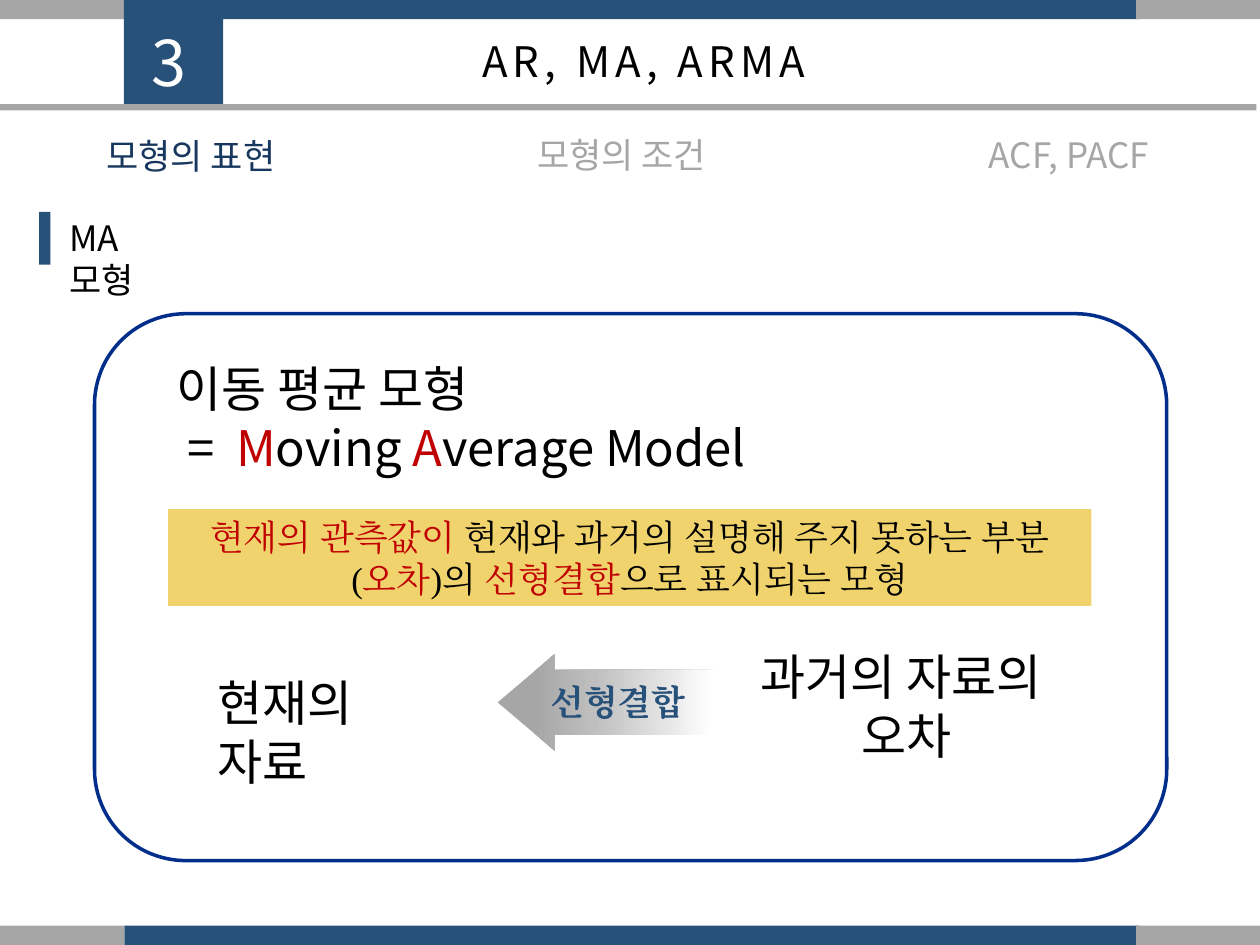
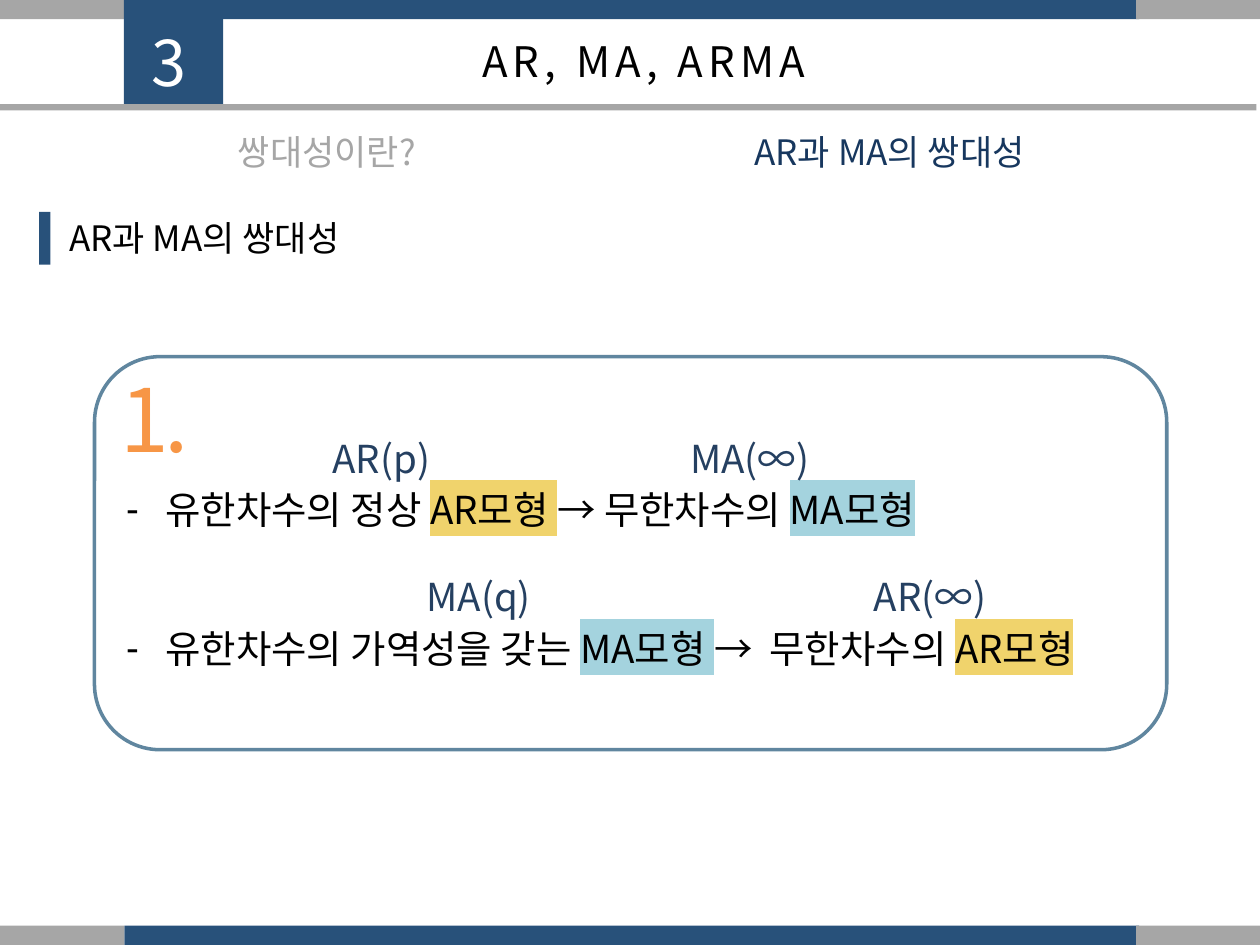
"""Build two slides on AR, MA and ARMA models."""
from lxml.etree import SubElement
from pptx import Presentation
from pptx.dml.color import RGBColor as Rgb
from pptx.enum.shapes import MSO_SHAPE as Kind
from pptx.enum.text import MSO_ANCHOR as Anchor, MSO_AUTO_SIZE as Fit, PP_ALIGN as Align
from pptx.oxml import parse_xml
from pptx.oxml.ns import nsdecls, qn
from pptx.util import Pt

BLUE = Rgb(0x28, 0x51, 0x7A)
GRAY = Rgb(0xA6, 0xA6, 0xA6)
NAVY = Rgb(0x17, 0x37, 0x5E)
INK = Rgb(0x25, 0x40, 0x61)
ROYAL = Rgb(0x00, 0x2E, 0x8A)
STEEL = Rgb(0x60, 0x86, 0x9F)
RED = Rgb(0xC0, 0x00, 0x00)
GOLD = Rgb(0xF0, 0xD3, 0x6C)
AQUA = Rgb(0xA4, 0xD3, 0xDE)
AMBER = Rgb(0xF7, 0x96, 0x46)
BLACK = Rgb(0, 0, 0)
SILVER = Rgb(0xBF, 0xBF, 0xBF)
WHITE = Rgb(0xFF, 0xFF, 0xFF)
SANS = "Noto Sans CJK KR"
SERIF = "Times New Roman"
LEFT, MID = Align.LEFT, Align.CENTER


class Deck:
    """Hold the style and the current slide."""

    def __init__(self):
        self.prs = Presentation()
        self.prs.slide_width, self.prs.slide_height = Pt(720), Pt(540)

    def page(self, layout, head, num):
        self.slide = self.prs.slides.add_slide(self.prs.slide_layouts[layout])
        for top in (0, 529):
            self.block((71, top, 580, 11), BLUE)
            self.block((0, top, 71, 11), GRAY)
            self.block((649.3, top, 70.7, 11), GRAY)
        self.block((70.8, 0, 56.7, 59.5), BLUE)
        self.block((0, 59.5, 718, 3.6), GRAY)
        self.holder(self.slide.shapes.title, (218, 16.6, 300, 36))
        self.words(self.slide.shapes.title, [[(head, BLACK)]], 24, MID, space=3)
        self.text((65.5, 10, 62.6, 51), num, 36, WHITE, MID, space=3)

    def holder(self, shape, box):
        for name, val in zip(("left", "top", "width", "height"), box):
            setattr(shape, name, Pt(val))
        form = {"auto_size": Fit.NONE, "vertical_anchor": Anchor.TOP}
        for name, val in form.items():
            setattr(shape.text_frame, name, val)

    def block(self, box, fill=None, line=None, kind=Kind.RECTANGLE):
        shape = self.slide.shapes.add_shape(kind, *map(Pt, box))
        shape.shadow.inherit = False
        if fill is None:
            shape.fill.background()
        else:
            shape.fill.solid()
            shape.fill.fore_color.rgb = fill
        if line is None:
            shape.line.fill.background()
        else:
            shape.line.color.rgb, shape.line.width = line, Pt(2)
        return shape

    def panel(self, box, line):
        self.block(box, None, line, Kind.ROUNDED_RECTANGLE)

    def arrow(self, box, stops):
        shape = self.block(box, GRAY, kind=Kind.LEFT_ARROW)
        shape.adjustments[0], shape.adjustments[1] = 0.67, 0.59
        shape.fill.gradient()
        shape.fill.gradient_angle = 0
        old = next(shape.element.iter(qn("a:gsLst")))
        marks = "".join(f'<a:gs pos="{pos * 1000}"><a:srgbClr val="{tone}"/></a:gs>'
                        for pos, tone in stops)
        new = parse_xml(f'<a:gsLst {nsdecls("a")}>{marks}</a:gsLst>')
        old.getparent().replace(old, new)

    def text(self, box, words, size, tone=BLACK, align=LEFT, **more):
        shape = self.slide.shapes.add_textbox(*map(Pt, box))
        paras = [[(words, tone)]] if isinstance(words, str) else words
        self.words(shape, paras, size, align, **more)

    def banner(self, box, fill, paras):
        shape = self.block(box, fill)
        shape.text_frame.vertical_anchor = Anchor.TOP
        self.words(shape, paras, 20, MID, font=SERIF)

    def label(self, words, width):
        self.block((22.3, 121, 6.5, 30.2), BLUE)
        self.text((32.4, 120.2, width, 31.7), words, 20)

    def items(self, box, paras, gap):
        shape = self.slide.placeholders[1]
        self.holder(shape, box)
        self.words(shape, paras, 22, LEFT)
        for num, para in enumerate(shape.text_frame.paragraphs):
            form = {"space_before": Pt(gap if num else 0), "line_spacing": Pt(26.5)}
            for name, val in form.items():
                setattr(para, name, val)
            props = para._p.get_or_add_pPr()
            props.set("marL", str(Pt(22.5)))
            props.set("indent", str(Pt(-22.5)))
            SubElement(props, qn("a:buChar")).set("char", "-")

    def words(self, shape, paras, size, align, font=SANS, space=0, bold=False):
        frame = shape.text_frame
        frame.word_wrap = True
        for num, parts in enumerate(paras):
            para = frame.add_paragraph() if num else frame.paragraphs[0]
            para.alignment = align
            for part, tone, *mark in parts:
                run = para.add_run()
                run.text = part
                run.font.color.rgb = tone
                form = {"size": Pt(size), "name": font, "bold": bold}
                for name, val in form.items():
                    setattr(run.font, name, val)
                props = run._r.get_or_add_rPr()
                if space:
                    props.set("spc", str(space * 100))
                east = parse_xml(f'<a:ea {nsdecls("a")} typeface="{font}"/>')
                props.find(qn("a:latin")).addnext(east)
                if mark:
                    glow = parse_xml(f'<a:highlight {nsdecls("a")}>'
                                     f'<a:srgbClr val="{mark[0]}"/></a:highlight>')
                    props.find(qn("a:solidFill")).addnext(glow)


def average(deck):
    deck.page(5, "AR, MA, ARMA", "3")
    deck.panel((54, 179.3, 612.7, 312.5), ROYAL)
    deck.label("MA 모형", 75.6)
    deck.text((93.6, 201.6, 425.5, 75), [
        [("이동 평균 모형", BLACK)],
        [(" =  ", BLACK), ("M", RED), ("oving ", BLACK), ("A", RED),
         ("verage Model", BLACK)]], 28)
    deck.banner((96, 290.9, 527.6, 55.4), GOLD, [[
        ("현재의 관측값이 ", RED), ("현재와 과거의 설명해 주지 못하는 부분(", BLACK),
        ("오차", RED), (")의 ", BLACK), ("선형결합", RED),
        ("으로 표시되는 모형", BLACK)]])
    deck.arrow((284.4, 373.7, 123, 55.4),
               ((0, GRAY), (17, GRAY), (45, SILVER), (100, WHITE)))
    deck.text((117.4, 380.9, 144, 41), "현재의 자료", 28)
    deck.text((426.2, 365.8, 183.6, 75),
              [[("과거의 자료의 ", BLACK)], [("오차", BLACK)]], 28, align=MID)
    deck.text((307.4, 385.2, 126, 31.7), "선형결합", 20, BLUE, font=SERIF, bold=True)
    tabs = ((38.2, 73.4, "모형의 표현", NAVY), (284.4, 72.7, "모형의 조건", GRAY),
            (540, 72.7, "ACF, PACF", GRAY))
    for left, top, words, tone in tabs:
        deck.text((left, top, 141.8, 31.7), words, 20, tone, MID)


def dual(deck):
    deck.page(1, "AR, MA, ARMA", "3")
    deck.label("AR과 MA의 쌍대성", 171.4)
    deck.panel((54, 203.8, 612.7, 224.6), STEEL)
    deck.items((64.8, 274, 596, 125), [
        [("유한차수의 정상 ", BLACK), ("AR모형 ", BLACK, GOLD),
         ("→ 무한차수의 ", BLACK), ("MA모형", BLACK, AQUA)],
        [("유한차수의 가역성을 갖는 ", BLACK), ("MA모형 ", BLACK, AQUA),
         ("→  무한차수의 ", BLACK), ("AR모형", BLACK, GOLD)]], 53)
    deck.text((61.9, 205.2, 131, 67.7), "1.", 50, AMBER, space=-3)
    deck.text((115.9, 71.3, 141.8, 31.7), "쌍대성이란?", 20, GRAY, MID)
    deck.text((419, 71.3, 178.6, 31.7), "AR과 MA의 쌍대성", 20, NAVY, MID)
    notes = ((182.9, 244.8, "AR(p)", LEFT), (381.6, 244.8, "MA(∞)", MID),
             (226.8, 324, "MA(q)", MID), (484.6, 324, "AR(∞)", MID))
    for left, top, words, align in notes:
        deck.text((left, top, 93.6, 55.4), words, 22, INK, align)


def main():
    deck = Deck()
    average(deck)
    dual(deck)
    deck.prs.save("out.pptx")


if __name__ == "__main__":
    main()
